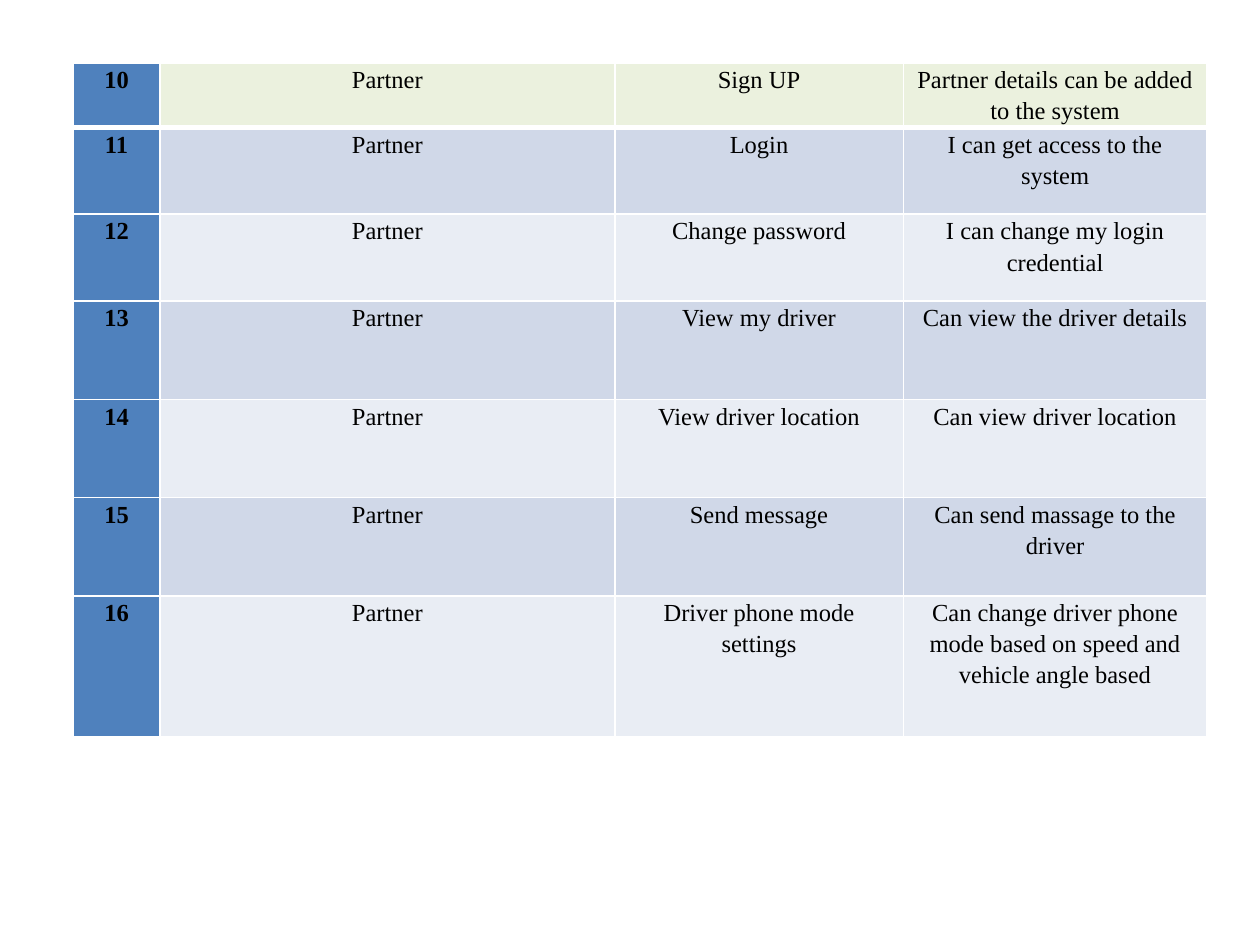
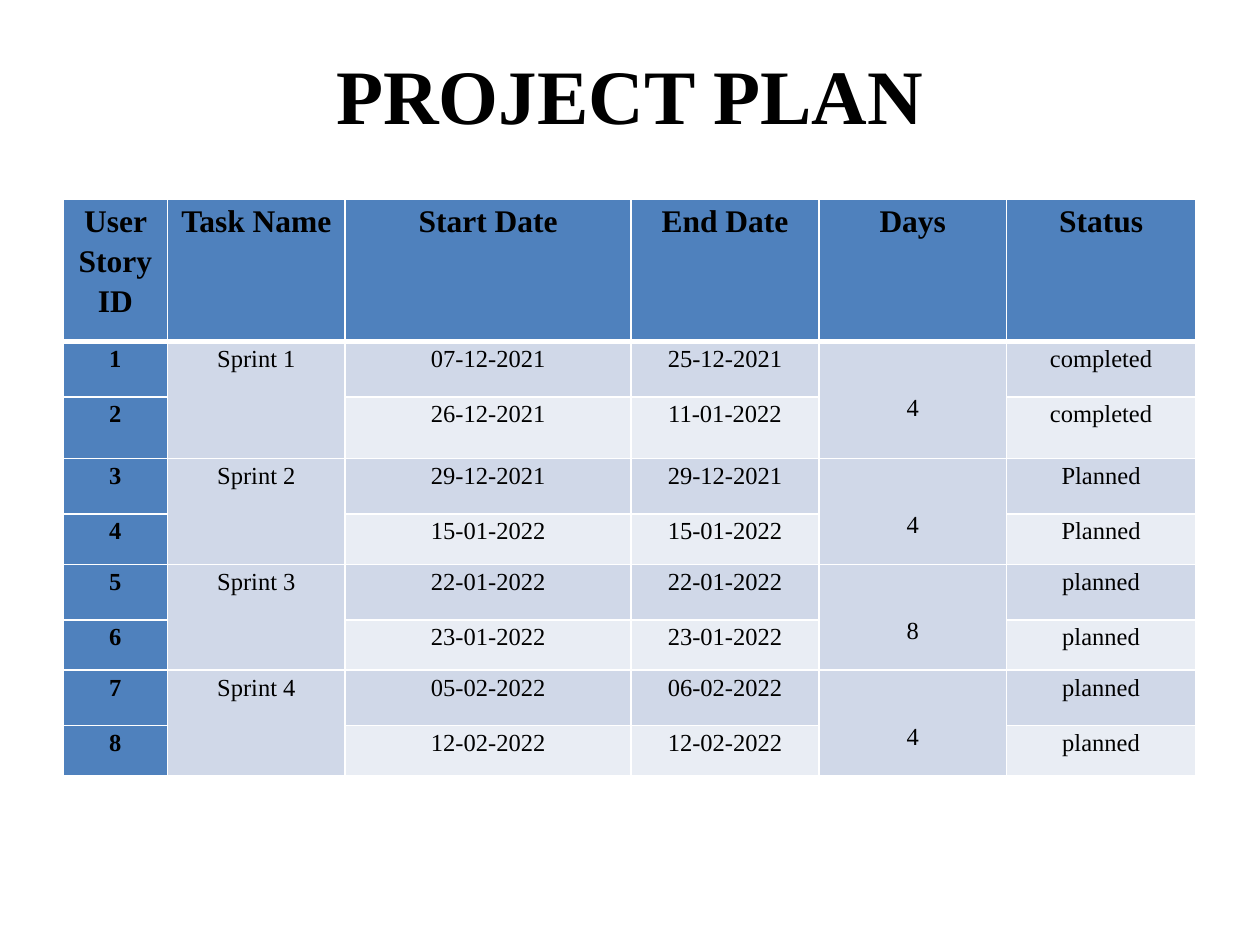
from lxml.etree import SubElement
from pptx import Presentation
from pptx.dml.color import RGBColor
from pptx.enum.text import MSO_ANCHOR, PP_ALIGN
from pptx.oxml.ns import qn
from pptx.util import Inches, Pt

HUES = {"key": "4F81BD", "top": "EBF1DE", "odd": "D0D8E8",
        "even": "E9EDF4", "line": "FFFFFF", "text": "000000"}
FACE = "Times New Roman"
PAD = {"margin_left": Inches(0.07), "margin_right": Inches(0.07),
       "margin_top": 0, "margin_bottom": 0}
FLOW = {"alignment": PP_ALIGN.CENTER, "line_spacing": 1.15, "space_after": Pt(10)}
DROP = Inches(0.39)

STORIES = [
    ("10", "Partner", "Sign UP", "Partner details can be added to the system"),
    ("11", "Partner", "Login", "I can get access to the system"),
    ("12", "Partner", "Change password", "I can change my login credential"),
    ("13", "Partner", "View my driver", "Can view the driver details"),
    ("14", "Partner", "View driver location", "Can view driver location"),
    ("15", "Partner", "Send message", "Can send massage to the driver"),
    ("16", "Partner", "Driver phone mode settings",
     "Can change driver phone mode based on speed and vehicle angle based"),
]
HEADS = ("User Story ID", "Task Name", "Start Date", "End Date", "Days", "Status")
TASKS = [
    ("1", "Sprint 1", "07-12-2021", "25-12-2021", "4", "completed"),
    ("2", "", "26-12-2021", "11-01-2022", "", "completed"),
    ("3", "Sprint 2", "29-12-2021", "29-12-2021", "4", "Planned"),
    ("4", "", "15-01-2022", "15-01-2022", "", "Planned"),
    ("5", "Sprint 3", "22-01-2022", "22-01-2022", "8", "planned"),
    ("6", "", "23-01-2022", "23-01-2022", "", "planned"),
    ("7", "Sprint 4", "05-02-2022", "06-02-2022", "4", "planned"),
    ("8", "", "12-02-2022", "12-02-2022", "", "planned"),
]


def apply(item, props):
    """Set each named attribute of an item."""
    for name, value in props.items():
        setattr(item, name, value)


def style(font, size, bold):
    """Give a font the shared face and colour."""
    apply(font, {"name": FACE, "size": Pt(size), "bold": bold})
    font.color.rgb = RGBColor.from_string(HUES["text"])


def edge(cell, row):
    """Rule a cell in white, thicker below the first row."""
    widths = {"a:lnL": 1, "a:lnR": 1, "a:lnT": 3 if row == 1 else 1,
              "a:lnB": 3 if row == 0 else 1}
    props = cell._tc.get_or_add_tcPr()
    for spot, (tag, width) in enumerate(widths.items()):
        line = SubElement(props, qn(tag), w=str(Pt(width)))
        fill = SubElement(line, qn("a:solidFill"))
        SubElement(fill, qn("a:srgbClr"), val=HUES["line"])
        props.insert(spot, line)


def paint(cell, text, hue, row, size, bold):
    """Write, fill and rule one cell."""
    cell.text = text
    apply(cell, PAD)
    para = cell.text_frame.paragraphs[0]
    apply(para, FLOW)
    style(para.font, size, bold)
    cell.fill.solid()
    cell.fill.fore_color.rgb = RGBColor.from_string(HUES[hue])
    edge(cell, row)


def grid(slide, left, top, cols, highs, rows, head=False):
    """Add a table with a key column and banded rows."""
    frame = slide.shapes.add_table(
        len(rows), len(cols), Inches(left), Inches(top),
        Inches(sum(cols)), Inches(sum(highs)))
    table = frame.table
    for col, width in zip(table.columns, cols):
        col.width = Inches(width)
    for line, high in zip(table.rows, highs):
        line.height = Inches(high)
    for r, row in enumerate(rows):
        band = "top" if r == 0 else "odd" if r % 2 else "even"
        title = head and r == 0
        for c, text in enumerate(row):
            key = title or c == 0
            paint(table.cell(r, c), text, "key" if key else band, r,
                  18 if title else 14, key)
    return table


def stories(deck):
    """Build the slide of partner stories."""
    slide = deck.slides.add_slide(deck.slide_layouts[6])
    highs = [0.51, 0.69, 0.69] + [0.78] * 3 + [1.12]
    grid(slide, 0.58, 0.5, [0.69, 3.61, 2.29, 2.41], highs, STORIES)


def plan(deck):
    """Build the slide of sprint dates."""
    slide = deck.slides.add_slide(deck.slide_layouts[5])
    title = slide.shapes.title
    apply(title, {"left": Inches(0.5), "top": Inches(0.33),
                  "width": Inches(9), "height": Inches(0.83)})
    title.text = "PROJECT PLAN"
    title.text_frame.vertical_anchor = MSO_ANCHOR.MIDDLE
    para = title.text_frame.paragraphs[0]
    para.alignment = PP_ALIGN.CENTER
    style(para.font, 44, True)
    highs = [1.13, 0.44, 0.49] + [0.44, 0.4] * 3
    table = grid(slide, 0.5, 1.58, [0.83, 1.41, 2.27, 1.49, 1.49, 1.5],
                 highs, [HEADS] + TASKS, head=True)
    for r in range(1, len(TASKS), 2):
        for c in (1, 4):
            table.cell(r, c).merge(table.cell(r + 1, c))
        table.cell(r, 4).margin_top = DROP


def main():
    """Build and save the deck."""
    deck = Presentation()
    apply(deck, {"slide_width": Inches(10), "slide_height": Inches(7.5)})
    stories(deck)
    plan(deck)
    deck.save("out.pptx")


if __name__ == "__main__":
    main()
